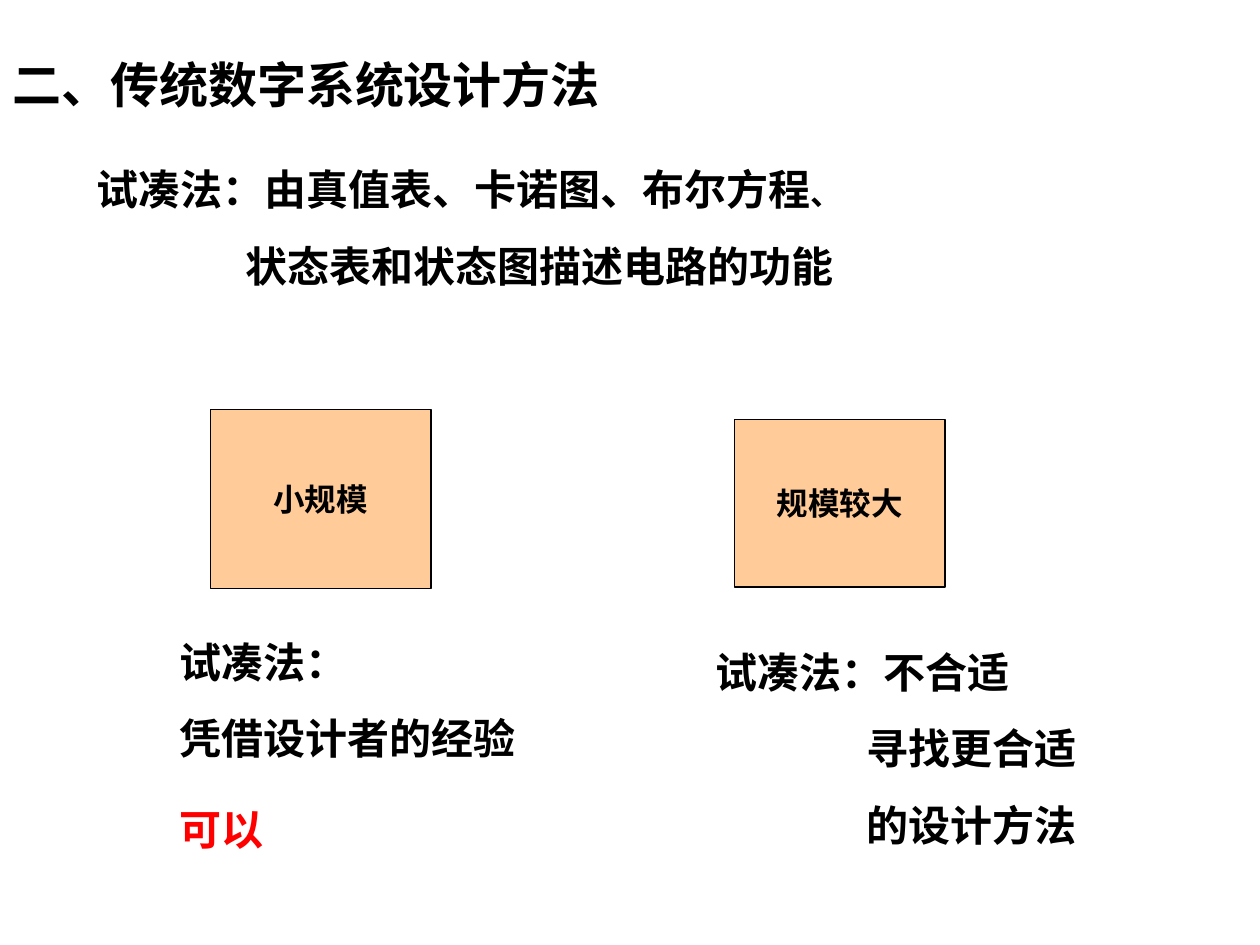
from pptx import Presentation
from pptx.dml.color import RGBColor
from pptx.enum.shapes import MSO_SHAPE
from pptx.enum.text import MSO_ANCHOR, MSO_AUTO_SIZE, PP_ALIGN
from pptx.util import Inches, Pt

RECTANGLE = MSO_SHAPE.RECTANGLE
MIDDLE = MSO_ANCHOR.MIDDLE
GROW = MSO_AUTO_SIZE.SHAPE_TO_FIT_TEXT
NO_AUTOFIT = MSO_AUTO_SIZE.NONE
LEFT, CENTER, JUSTIFY = PP_ALIGN.LEFT, PP_ALIGN.CENTER, PP_ALIGN.JUSTIFY

BLACK = RGBColor(0x00, 0x00, 0x00)
RED = RGBColor(0xFF, 0x00, 0x00)
PEACH = RGBColor(0xFF, 0xCC, 0x99)
FONT = "Times New Roman"
TITLE_LAYOUT = 5


def add_text(paragraph, text, size=24, color=BLACK, align=LEFT):
    paragraph.alignment = align
    run = paragraph.add_run()
    run.text = text
    run.font.name = FONT
    run.font.size = Pt(size)
    run.font.bold = True
    run.font.color.rgb = color
    return run


def place(shape, box):
    shape.left, shape.top, shape.width, shape.height = map(Inches, box)


def add_title(slide, box, text):
    title = slide.shapes.title
    place(title, box)
    frame = title.text_frame
    frame.vertical_anchor = MIDDLE
    frame.auto_size = NO_AUTOFIT
    add_text(frame.paragraphs[0], text, size=28, align=JUSTIFY)


def add_lines(slide, box, lines, indent=0, color=BLACK):
    """Add a text box whose lines after the first are indented."""
    frame = slide.shapes.add_textbox(*map(Inches, box)).text_frame
    frame.word_wrap = True
    frame.auto_size = GROW
    for index, line in enumerate(lines):
        paragraph = frame.paragraphs[0] if index == 0 else frame.add_paragraph()
        if index:
            paragraph.space_before = Pt(15)
            if indent:
                properties = paragraph._p.get_or_add_pPr()
                properties.set("marL", str(Inches(indent)))
                properties.set("indent", "0")
        add_text(paragraph, line, color=color)
    return frame


def add_scale_box(slide, box, label):
    shape = slide.shapes.add_shape(RECTANGLE, *map(Inches, box))
    shape.shadow.inherit = False
    shape.fill.solid()
    shape.fill.fore_color.rgb = PEACH
    shape.line.color.rgb = BLACK
    shape.line.width = Pt(0.75)
    frame = shape.text_frame
    frame.word_wrap = False
    frame.vertical_anchor = MIDDLE
    add_text(frame.paragraphs[0], label, size=18, align=CENTER)


def main():
    presentation = Presentation()
    presentation.slide_width = Inches(10)
    presentation.slide_height = Inches(7.5)
    slide = presentation.slides.add_slide(presentation.slide_layouts[TITLE_LAYOUT])

    add_title(slide, (0, 0.25, 8.67, 0.83), "二、传统数字系统设计方法")

    # Definition of the method, ending its first line with a smaller mark
    definition = add_lines(
        slide, (0.67, 1.25, 8.33, 1.11),
        ["试凑法：由真值表、卡诺图、布尔方程", "状态表和状态图描述电路的功能"], indent=1.18)
    add_text(definition.paragraphs[0], "、", size=18)

    # Small circuits
    add_scale_box(slide, (1.67, 3.25, 1.75, 1.42), "小规模")
    add_lines(slide, (1.33, 5, 3.25, 1.11), ["试凑法：", "凭借设计者的经验"])
    add_lines(slide, (1.33, 6.33, 2, 0.5), ["可以"], color=RED)

    # Larger circuits
    add_scale_box(slide, (5.83, 3.33, 1.67, 1.33), "规模较大")
    add_lines(slide, (5.58, 5.08, 3.33, 1.72),
              ["试凑法：不合适", "寻找更合适", "的设计方法"], indent=1.2)

    presentation.save("out.pptx")


if __name__ == "__main__":
    main()
